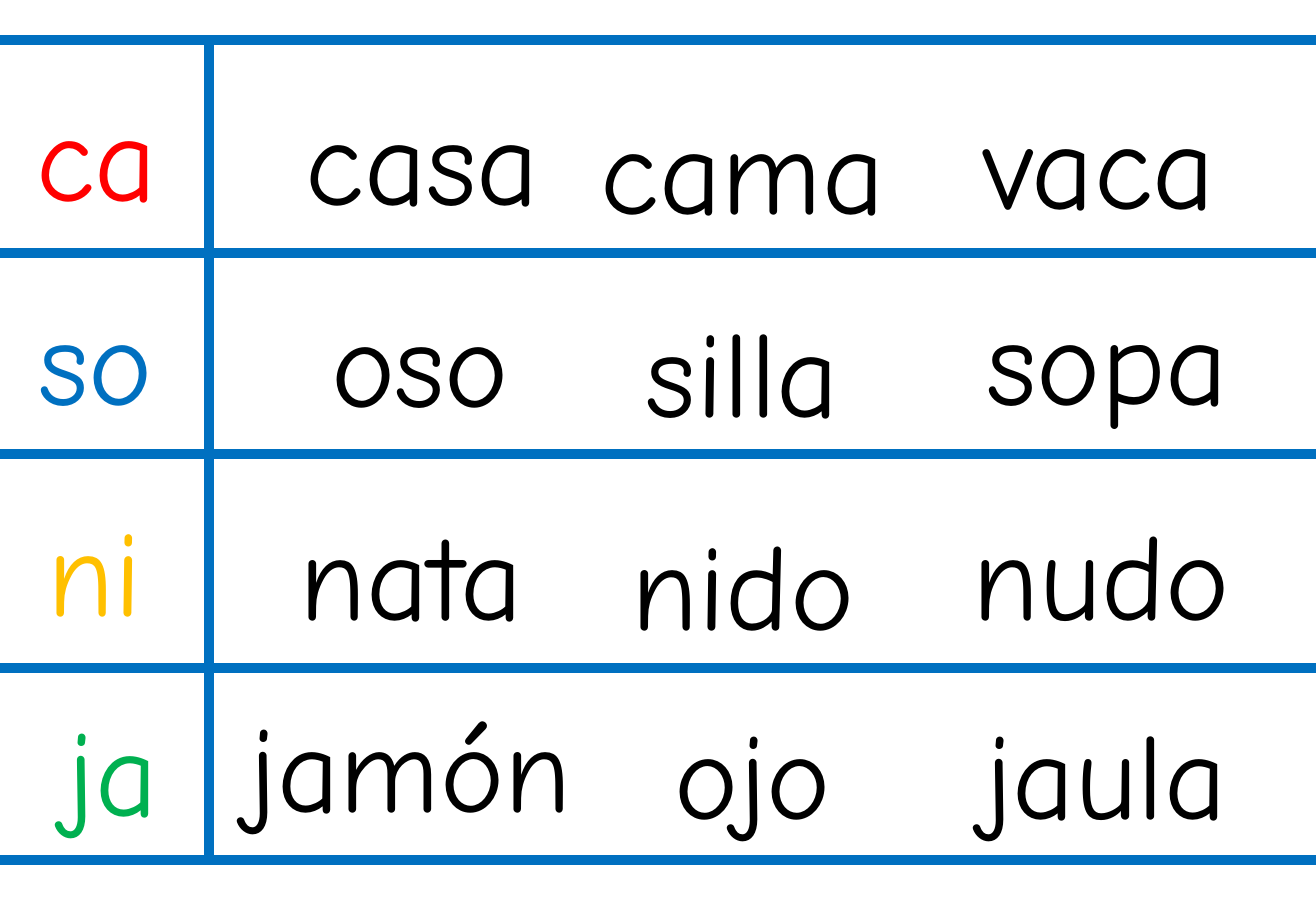
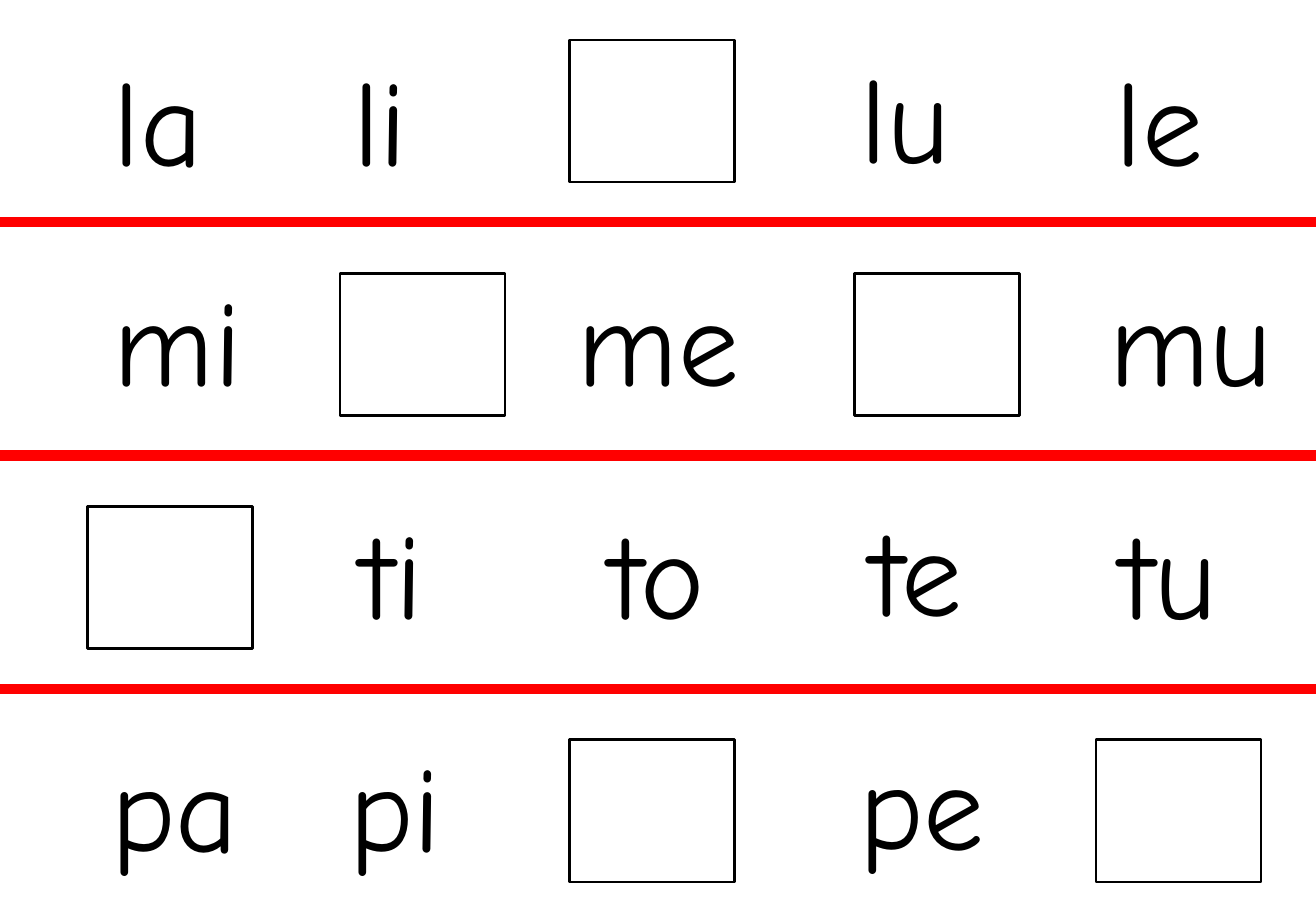
from lxml import etree
from pptx import Presentation
from pptx.dml.color import RGBColor
from pptx.enum.shapes import MSO_CONNECTOR, MSO_SHAPE
from pptx.enum.text import MSO_AUTO_SIZE
from pptx.oxml.ns import qn
from pptx.util import Inches, Pt

W, H = 10.84, 7.5
FONT, SIZE = "Comic Neue", 72
BLACK, BLUE, RED = "000000", "0070C0", "FF0000"
INSET, SLACK, TEXT_H = 0.1, 0.04, 1.3
# Advance of each letter at 72 pt, in inches
ADVANCE = {"a": 0.51, "c": 0.49, "d": 0.53, "e": 0.5, "i": 0.22, "j": 0.24,
           "l": 0.22, "m": 0.83, "n": 0.56, "o": 0.53, "ó": 0.53, "p": 0.53,
           "s": 0.41, "t": 0.29, "u": 0.51, "v": 0.43}


def add_rule(slide, x1, y1, x2, y2, color):
    cn = slide.shapes.add_connector(
        MSO_CONNECTOR.STRAIGHT, Inches(x1), Inches(y1), Inches(x2), Inches(y2))
    cn.line.color.rgb = RGBColor.from_string(color)
    cn.line.width = Pt(6)
    etree.SubElement(cn._element.spPr, qn("a:effectLst"))


def add_word(slide, word, left, top, color=BLACK):
    """Place a word in a box that just holds its letters on one line."""
    width = sum(ADVANCE[c] for c in word) + 2 * INSET + SLACK
    sp = slide.shapes.add_textbox(
        Inches(left), Inches(top), Inches(width), Inches(TEXT_H))
    tf = sp.text_frame
    tf.word_wrap = False
    tf.auto_size = MSO_AUTO_SIZE.SHAPE_TO_FIT_TEXT
    p = tf.paragraphs[0]
    p.text = word
    p.font.name = FONT
    p.font.size = Pt(SIZE)
    p.font.color.rgb = RGBColor.from_string(color)


prs = Presentation()
prs.slide_width, prs.slide_height = Inches(W), Inches(H)
blank = prs.slide_layouts[6]

# Syllables and words that contain them
s = prs.slides.add_slide(blank)
rules = [0.33, 2.08, 3.74, 5.5, 7.08]
add_rule(s, 1.72, rules[0], 1.72, rules[-1], BLUE)
for y in rules:
    add_rule(s, 0, y, W, y, BLUE)

word_rows = [
    (RED, [("ca", 0.2, 0.61), ("casa", 2.42, 0.64),
           ("cama", 4.85, 0.72), ("vaca", 8, 0.68)]),
    (BLUE, [("so", 0.22, 2.29), ("oso", 2.63, 2.31),
            ("silla", 5.22, 2.39), ("sopa", 8.03, 2.29)]),
    ("FFC000", [("ni", 0.29, 4.03), ("nata", 2.37, 4.06),
                ("nido", 5.1, 4.14), ("nudo", 7.91, 4.06)]),
    ("00B050", [("ja", 0.45, 5.67), ("jamón", 1.95, 5.64),
                ("ojo", 5.46, 5.7), ("jaula", 8.01, 5.7)]),
]
for color, (syllable, *words) in word_rows:
    add_word(s, *syllable, color)
    for word in words:
        add_word(s, *word)

# Syllable series with empty boxes to fill in
s = prs.slides.add_slide(blank)
row_h = 1.92
for i in range(3):
    y = 1.83 + i * row_h
    add_rule(s, 0, y, W, y, RED)

box_w, box_h, first_box_top = 1.36, 1.17, 0.33
box_lefts = [0.72, 2.8, 4.69, 7.04, 9.03]
column_lifts = [0, 0, 0, 0.02, 0]
series = [
    (0.32, [("la", 0.84), ("li", 2.81), None, ("lu", 6.99), ("le", 9.09)]),
    (2.13, [("mi", 0.84), None, ("me", 4.66), None, ("mu", 9.04)]),
    (4.05, [None, ("ti", 2.87), ("to", 4.92), ("te", 7.07), ("tu", 9.13)]),
    (5.97, [("pa", 0.82), ("pi", 2.78), None, ("pe", 6.98), None]),
]
for row, (top, cells) in enumerate(series):
    for box_left, lift, cell in zip(box_lefts, column_lifts, cells):
        if cell:
            add_word(s, *cell, top - lift)
            continue
        box = s.shapes.add_shape(
            MSO_SHAPE.RECTANGLE, Inches(box_left),
            Inches(first_box_top + row * row_h), Inches(box_w), Inches(box_h))
        box.shadow.inherit = False
        box.fill.background()
        box.line.color.rgb = RGBColor.from_string(BLACK)
        box.line.width = Pt(1.5)

prs.save("out.pptx")
